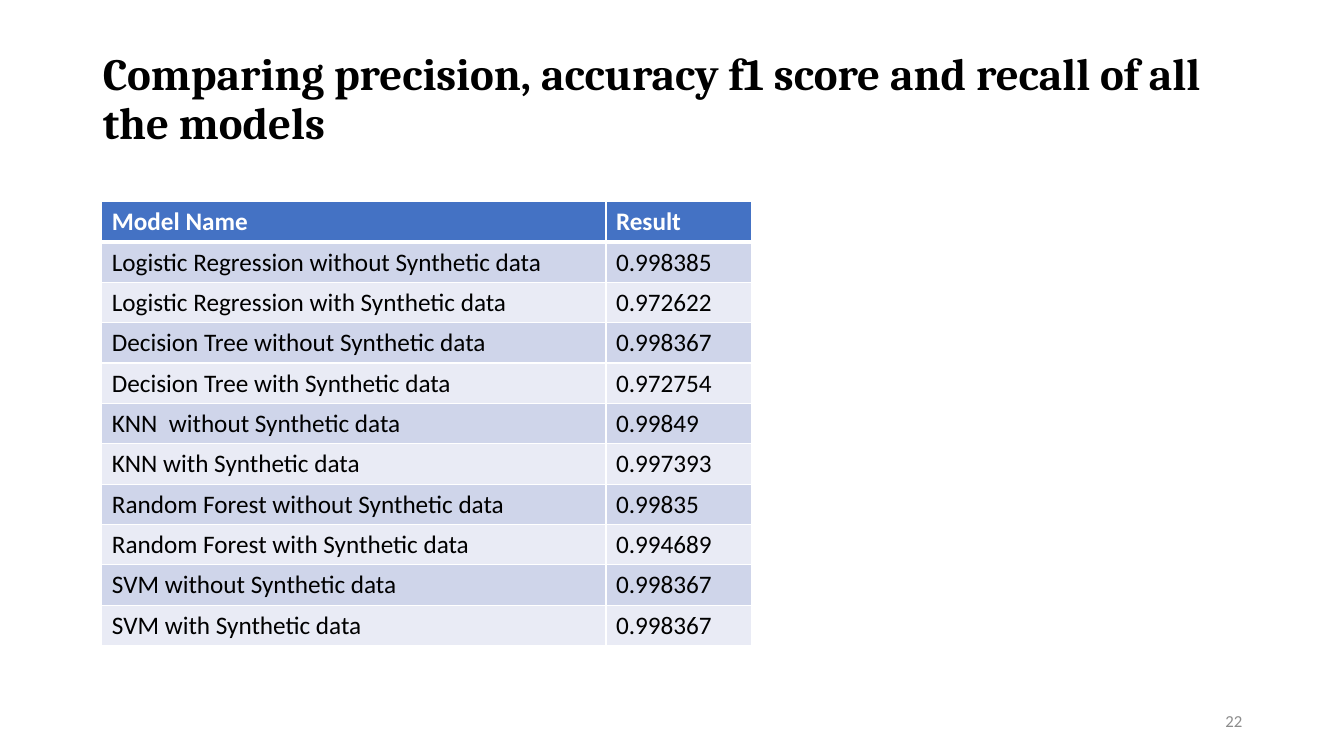
from dataclasses import dataclass
from lxml.etree import SubElement as Sub
from pptx import Presentation
from pptx.dml.color import RGBColor as Rgb
from pptx.enum.text import MSO_ANCHOR as Anchor, PP_ALIGN as Align
from pptx.oxml.ns import qn
from pptx.util import Inches, Pt


@dataclass(frozen=True)
class Theme:
    head: str = "Cambria"
    body: str = "Calibri"
    black: str = "000000"
    white: str = "FFFFFF"
    gray: str = "8C8C8C"
    blue: str = "4472C4"
    bands: tuple = ("CFD5EA", "E9EBF5")
    large: int = 32
    text: int = 18
    small: int = 12


class Page:
    def __init__(self, deck, theme):
        self.theme = theme
        self.slide = deck.slides.add_slide(deck.slide_layouts[5])

    def apply(self, item, form):
        for name, value in form.items():
            setattr(item, name, value)

    def place(self, shape, box):
        sides = ("left", "top", "width", "height")
        self.apply(shape, dict(zip(sides, map(Inches, box))))

    def label(self, frame, text, font, size, color, bold=False, align=Align.LEFT):
        para = frame.paragraphs[0]
        para.alignment = align
        run = para.add_run()
        run.text = text
        self.apply(run.font, {"name": font, "size": Pt(size), "bold": bold})
        run.font.color.rgb = Rgb.from_string(color)
        return para

    def title(self, text, box):
        shape = self.slide.shapes.title
        self.place(shape, box)
        frame = shape.text_frame
        self.apply(frame, {"word_wrap": True, "vertical_anchor": Anchor.MIDDLE,
                           "margin_bottom": Inches(0.7)})
        para = self.label(frame, text, self.theme.head, self.theme.large,
                          self.theme.black, True)
        para.line_spacing = 0.9

    def number(self, text, box):
        frame = self.slide.shapes.add_textbox(*map(Inches, box)).text_frame
        self.apply(frame, {"word_wrap": True, "vertical_anchor": Anchor.MIDDLE})
        self.label(frame, text, self.theme.body, self.theme.small,
                   self.theme.gray, align=Align.RIGHT)

    def border(self, cell, row):
        props = cell._tc.get_or_add_tcPr()
        width = {"T": 3 if row == 1 else 1, "B": 3 if row == 0 else 1}
        for side in "LRTB":
            line = Sub(props, qn(f"a:ln{side}"), w=str(Pt(width.get(side, 1))))
            Sub(Sub(line, qn("a:solidFill")), qn("a:srgbClr"), val=self.theme.white)

    def table(self, rows, box, widths):
        theme = self.theme
        grid = self.slide.shapes.add_table(
            len(rows), len(widths), *map(Inches, box)).table
        for col, width in zip(grid.columns, widths):
            col.width = Inches(width)
        for r, row in enumerate(rows):
            top = r == 0
            for c, text in enumerate(row):
                cell = grid.cell(r, c)
                self.border(cell, r)
                cell.fill.solid()
                shade = theme.blue if top else theme.bands[(r - 1) % 2]
                cell.fill.fore_color.rgb = Rgb.from_string(shade)
                align = Align.JUSTIFY if c and not top else Align.LEFT
                self.label(cell.text_frame, text, theme.body, theme.text,
                           theme.white if top else theme.black, top, align)


ROWS = [
    ("Model Name", "Result"),
    ("Logistic Regression without Synthetic data", "0.998385"),
    ("Logistic Regression with Synthetic data", "0.972622"),
    ("Decision Tree without Synthetic data", "0.998367"),
    ("Decision Tree with Synthetic data", "0.972754"),
    ("KNN  without Synthetic data", "0.99849"),
    ("KNN with Synthetic data", "0.997393"),
    ("Random Forest without Synthetic data", "0.99835"),
    ("Random Forest with Synthetic data", "0.994689"),
    ("SVM without Synthetic data", "0.998367"),
    ("SVM with Synthetic data", "0.998367"),
]


def main():
    deck = Presentation()
    deck.slide_width, deck.slide_height = Inches(13.33), Inches(7.5)
    page = Page(deck, Theme())
    page.title("Comparing precision, accuracy f1 score and recall of all the models",
               (0.92, 0.4, 11.5, 1.84))
    page.number("22", (9.42, 6.95, 3, 0.4))
    page.table(ROWS, (1.01, 2, 6.44, 4.4), (5, 1.44))
    deck.save("out.pptx")


if __name__ == "__main__":
    main()
